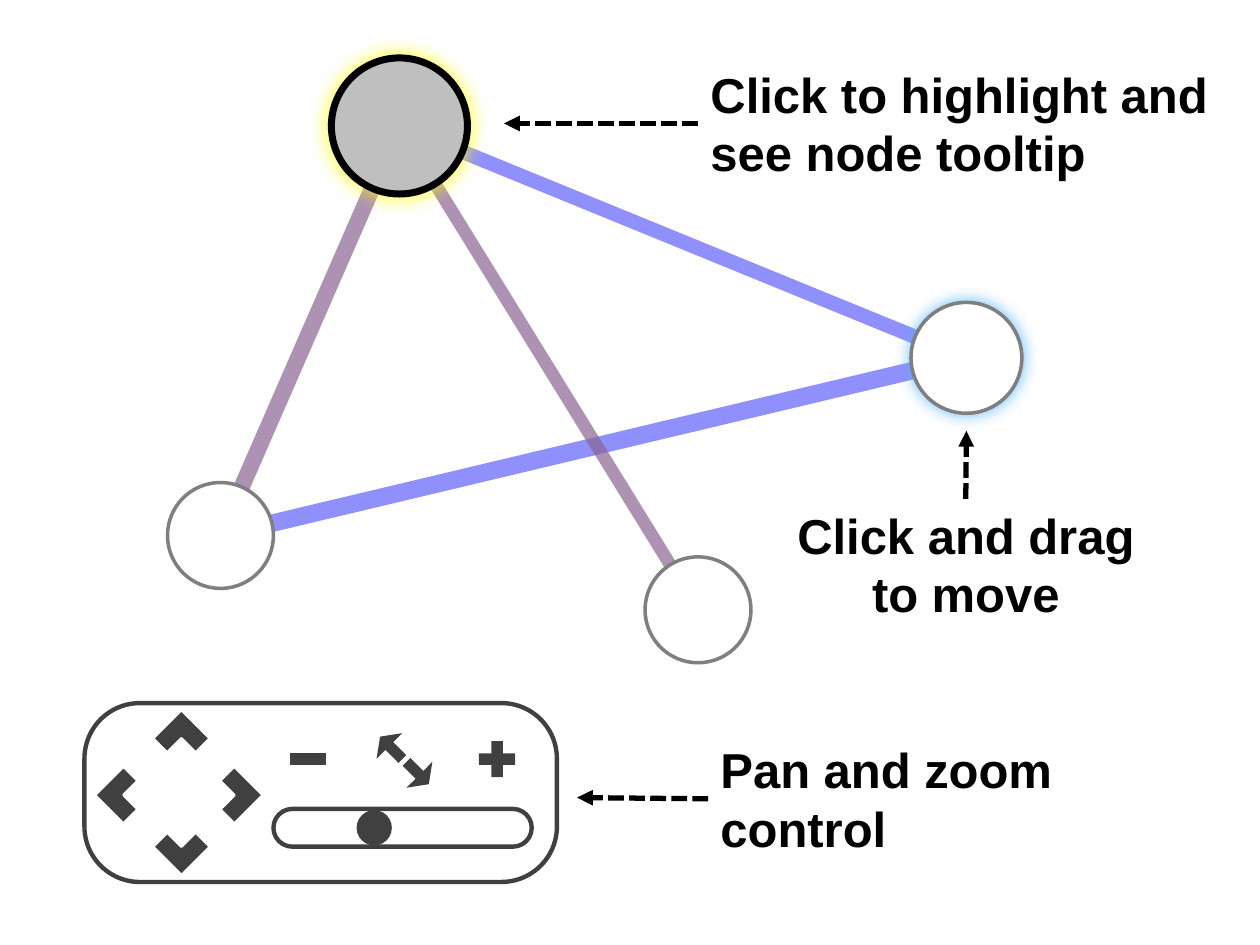
from lxml.etree import SubElement
from pptx import Presentation
from pptx.dml.color import RGBColor
from pptx.enum.dml import MSO_LINE
from pptx.enum.shapes import MSO_CONNECTOR, MSO_SHAPE
from pptx.enum.text import MSO_AUTO_SIZE, PP_ALIGN
from pptx.oxml.ns import qn
from pptx.util import Emu, Pt

DARK = "404040"
WHITE = "FFFFFF"
BLACK = "000000"


def px(n):
    return Emu(n * 9144)


def paint(part, tone):
    part.solid()
    part.fore_color.rgb = RGBColor.from_string(tone)


def stroke(line, tone, width):
    paint(line.fill, tone)
    line.width = Pt(width)


def draw(shapes, kind, box, fill, line=None, width=1, turn=0, adjust=()):
    shape = shapes.add_shape(kind, *map(px, box))
    shape.shadow.inherit = False
    paint(shape.fill, fill)
    if line:
        stroke(shape.line, line, width)
    else:
        shape.line.fill.background()
    shape.rotation = turn
    for i, value in enumerate(adjust):
        shape.adjustments[i] = value
    return shape


def link(shapes, start, end, tone, width):
    line = shapes.add_connector(MSO_CONNECTOR.STRAIGHT, *map(px, start + end))
    stroke(line.line, tone, width)
    SubElement(line._element.spPr, qn("a:effectLst"))
    return line


def glow(shape, tone, alpha, blur):
    effects = shape._element.spPr.find(qn("a:effectLst"))
    shade = SubElement(effects, qn("a:outerShdw"), blurRad=str(Pt(blur)),
                       dist="0", algn="ctr", rotWithShape="0")
    color = SubElement(shade, qn("a:srgbClr"), val=tone)
    SubElement(color, qn("a:alpha"), val=str(alpha * 1000))


def network(shapes, box):
    left, top = box[:2]
    spots = {
        "top": (left + 184, top + 54),
        "right": (left + 634, top + 238),
        "low": (left + 421, top + 438),
        "left": (left + 42, top + 379),
    }
    edges = [
        ("right", "left", "6261FC", 10),
        ("right", "top", "6261FC", 8.25),
        ("low", "top", "8B6593", 7.25),
        ("top", "left", "8B6593", 9.25),
    ]
    for start, end, tone, width in edges:
        edge = link(shapes, spots[start], spots[end], tone, width)
        color = edge._element.spPr.find(".//" + qn("a:srgbClr"))
        SubElement(color, qn("a:alpha"), val="70000")
    nodes = [
        ("top", 54, "BFBFBF", BLACK, 4, ("FFFF00", 86, 12)),
        ("right", 44, WHITE, "7F7F7F", 2, ("51B5FF", 84, 9)),
        ("low", 42, WHITE, "7F7F7F", 2, None),
        ("left", 42, WHITE, "7F7F7F", 2, None),
    ]
    for name, half, fill, line, width, halo in nodes:
        x, y = spots[name]
        node = draw(shapes, MSO_SHAPE.OVAL,
                    (x - half, y - half, 2 * half, 2 * half), fill, line, width)
        if halo:
            glow(node, *halo)


def note(shapes, box, text, site, tip, align=PP_ALIGN.LEFT):
    label = shapes.add_textbox(*map(px, box))
    frame = label.text_frame
    frame.word_wrap = True
    frame.auto_size = MSO_AUTO_SIZE.SHAPE_TO_FIT_TEXT
    frame.text = text
    for para in frame.paragraphs:
        para.alignment = align
        for run in para.runs:
            run.font.name = "Arial"
            run.font.size = Pt(28)
            run.font.bold = True
            run.font.color.rgb = RGBColor.from_string(BLACK)
    end = (box[0] + tip[0], box[1] + tip[1])
    arrow = link(shapes, box[:2], end, BLACK, 3)
    arrow.begin_connect(label, site)
    arrow.line.dash_style = MSO_LINE.SQUARE_DOT
    line = arrow._element.spPr.find(qn("a:ln"))
    SubElement(line, qn("a:tailEnd"), type="triangle")


def panel(shapes, box):
    left, top, wide, high = box
    group = shapes.add_group_shape().shapes

    def put(kind, x, y, w, h, *style, **more):
        draw(group, kind, (left + x, top + y, w, h), *style, **more)

    put(MSO_SHAPE.ROUNDED_RECTANGLE, 0, 0, wide, high, WHITE, DARK, 2.5,
        adjust=[0.31])
    put(MSO_SHAPE.MATH_MINUS, 158, 25, 39, 39, DARK)
    put(MSO_SHAPE.MATH_PLUS, 308, 25, 39, 39, DARK)
    for x, y, turn in [(250, 43, 315), (229, 23, 135)]:
        put(MSO_SHAPE.DOWN_ARROW, x, y, 29, 25, DARK, turn=turn,
            adjust=[0.3, 0.42])
    put(MSO_SHAPE.ROUNDED_RECTANGLE, 150, 84, 205, 30, WHITE, DARK, 2.5,
        adjust=[0.5])
    for x, y, turn in [(61, 98, 315), (61, 12, 135), (15, 57, 45), (103, 57, 225)]:
        put(MSO_SHAPE.CORNER, x, y, 32, 32, DARK, WHITE, 1.5, turn=turn)
    put(MSO_SHAPE.OVAL, 216, 85, 28, 28, DARK)


def main():
    deck = Presentation()
    deck.slide_width, deck.slide_height = px(1000), px(750)
    shapes = deck.slides.add_slide(deck.slide_layouts[6]).shapes
    network(shapes, (133, 46, 678, 480))
    note(shapes, (554, 46, 421, 104), "Click to highlight and see node tooltip",
         1, (-154, 52))
    note(shapes, (622, 396, 289, 104), "Click and drag to move",
         0, (145, -54), PP_ALIGN.CENTER)
    panel(shapes, (67, 558, 375, 142))
    note(shapes, (562, 582, 296, 104), "Pan and zoom\ncontrol", 1, (-104, 51))
    deck.save("out.pptx")


if __name__ == "__main__":
    main()
